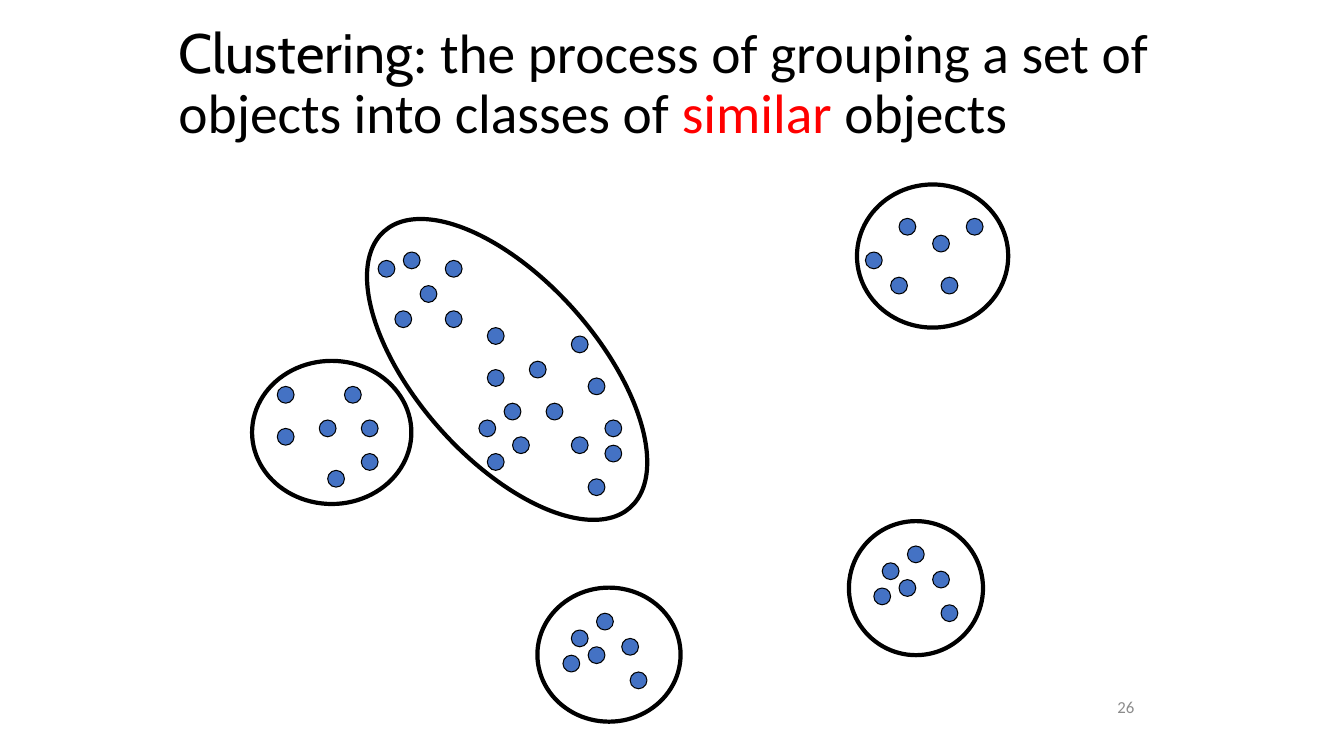
from pptx import Presentation
from pptx.dml.color import RGBColor
from pptx.enum.shapes import MSO_SHAPE
from pptx.enum.text import MSO_ANCHOR, MSO_AUTO_SIZE, PP_ALIGN
from pptx.util import Inches, Pt

BLACK = RGBColor(0x00, 0x00, 0x00)
RED = RGBColor(0xFF, 0x00, 0x00)
BLUE = RGBColor(0x44, 0x72, 0xC4)
GRAY = RGBColor(0x8C, 0x8C, 0x8C)

GRID = 1 / 12
DOT_CELLS = 2

TITLE_RUNS = [
    ("Clustering", "Cabin", BLACK),
    (": the process of grouping a set of objects into classes of ", "Calibri", BLACK),
    ("similar", "Calibri", RED),
    (" objects", "Calibri", BLACK),
]

SMALL_GROUP = [(3, 8), (4, 5), (6, 7), (11, 10), (10, 6), (7, 3)]
LEFT_GROUP = [(3, 3), (11, 3), (8, 7), (3, 8), (9, 13), (13, 7), (13, 11)]
RIGHT_GROUP = [(5, 4), (9, 6), (4, 11), (1, 8), (13, 4), (10, 11)]
LONG_GROUP = [
    (0, 1), (3, 0), (8, 1), (5, 4), (2, 7), (8, 7), (12, 20),
    (15, 18), (16, 22), (13, 24), (13, 14), (18, 13), (25, 27),
    (20, 18), (23, 22), (25, 15), (27, 23), (23, 10), (27, 20), (13, 9),
]

DOT_GROUPS = [
    ((45, 30), LONG_GROUP),
    ((30, 43), LEFT_GROUP),
    ((102, 22), RIGHT_GROUP),
    ((101, 62), SMALL_GROUP),
    ((64, 70), SMALL_GROUP),
]

OUTLINES = [
    (8.42, 5.17, 1.33, 1.33, 0),
    (8.5, 1.83, 1.5, 1.42, 0),
    (5.33, 5.83, 1.42, 1.33, 0),
    (2.5, 3.58, 1.58, 1.42, 0),
    (4.14, 1.83, 1.78, 3.67, 318.3),
]


class ClusterSlide:
    """Draws titles, text, dots and outlines on one slide."""

    def __init__(self, prs):
        self.s = prs.slides.add_slide(prs.slide_layouts[5])

    def place(self, sp, left, top, width, height):
        box = {"left": left, "top": top, "width": width, "height": height}
        for name, value in box.items():
            setattr(sp, name, Inches(value))

    def set_text(self, sp, runs, size, align, spacing=1.0):
        tf = sp.text_frame
        frame = {
            "word_wrap": True,
            "auto_size": MSO_AUTO_SIZE.NONE,
            "vertical_anchor": MSO_ANCHOR.MIDDLE,
        }
        for name, value in frame.items():
            setattr(tf, name, value)
        p = tf.paragraphs[0]
        p.alignment = align
        p.line_spacing = spacing
        for text, font, color in runs:
            r = p.add_run()
            r.text = text
            for name, value in {"name": font, "size": Pt(size)}.items():
                setattr(r.font, name, value)
            r.font.color.rgb = color

    def title(self, box, runs):
        sp = self.s.shapes.title
        self.place(sp, *box)
        self.set_text(sp, runs, 39.6, PP_ALIGN.LEFT, 0.9)

    def number(self, box, text):
        sp = self.s.shapes.add_textbox(*map(Inches, box))
        self.set_text(sp, [(text, "Calibri", GRAY)], 12, PP_ALIGN.RIGHT)

    def ellipse(self, box, line_width, fill=None, rotation=0):
        sp = self.s.shapes.add_shape(MSO_SHAPE.OVAL, *map(Inches, box))
        sp.shadow.inherit = False
        sp.rotation = rotation
        if fill is None:
            sp.fill.background()
        else:
            sp.fill.solid()
            sp.fill.fore_color.rgb = fill
        sp.line.color.rgb = BLACK
        sp.line.width = Pt(line_width)

    def dots(self, origin, cells):
        size = DOT_CELLS * GRID
        for column, row in cells:
            left = (origin[0] + column) * GRID
            top = (origin[1] + row) * GRID
            self.ellipse((left, top, size, size), 0.75, BLUE)

    def outline(self, left, top, width, height, rotation):
        self.ellipse((left, top, width, height), 3, rotation=rotation)


def main():
    prs = Presentation()
    prs.slide_width = Inches(13.33)
    prs.slide_height = Inches(7.5)
    slide = ClusterSlide(prs)
    slide.title((1.67, 0, 10, 1.7), TITLE_RUNS)
    for origin, cells in DOT_GROUPS:
        slide.dots(origin, cells)
    for outline in OUTLINES:
        slide.outline(*outline)
    slide.number((10.17, 6.67, 1.18, 0.68), "26")
    prs.save("out.pptx")


if __name__ == "__main__":
    main()
